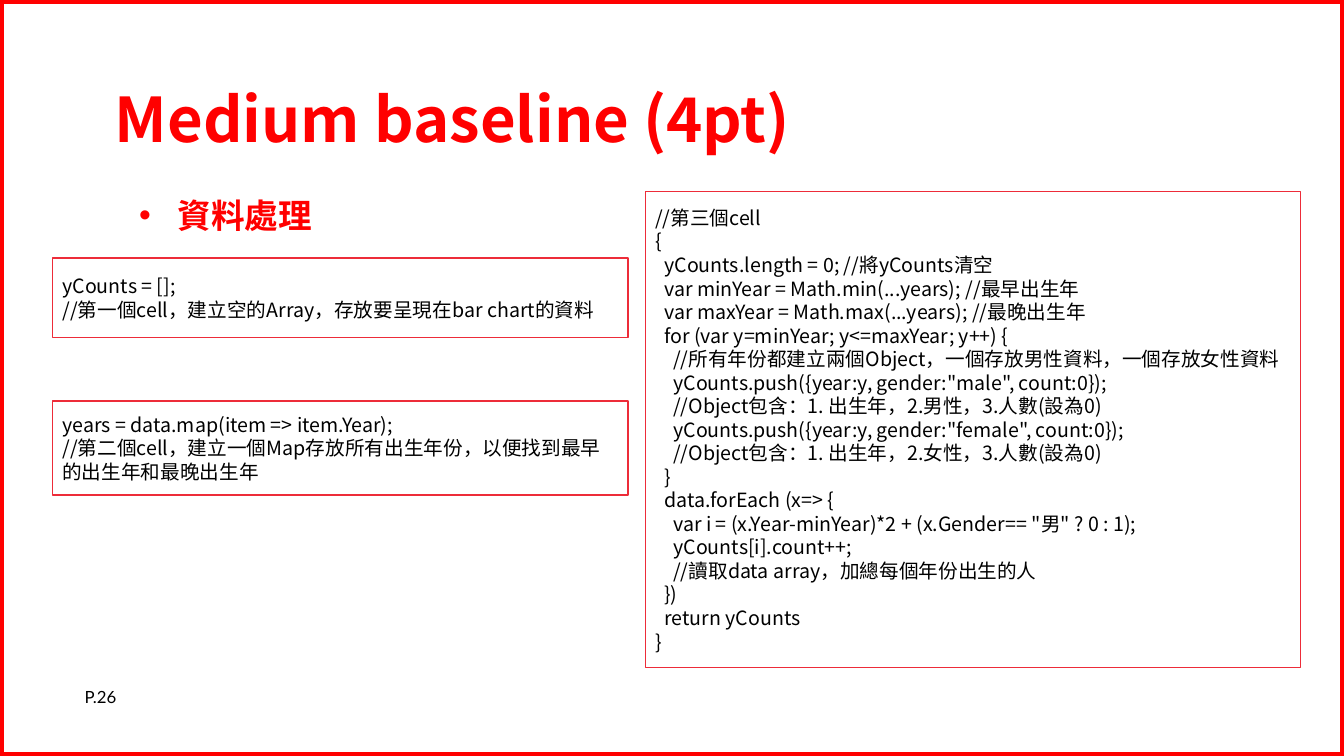
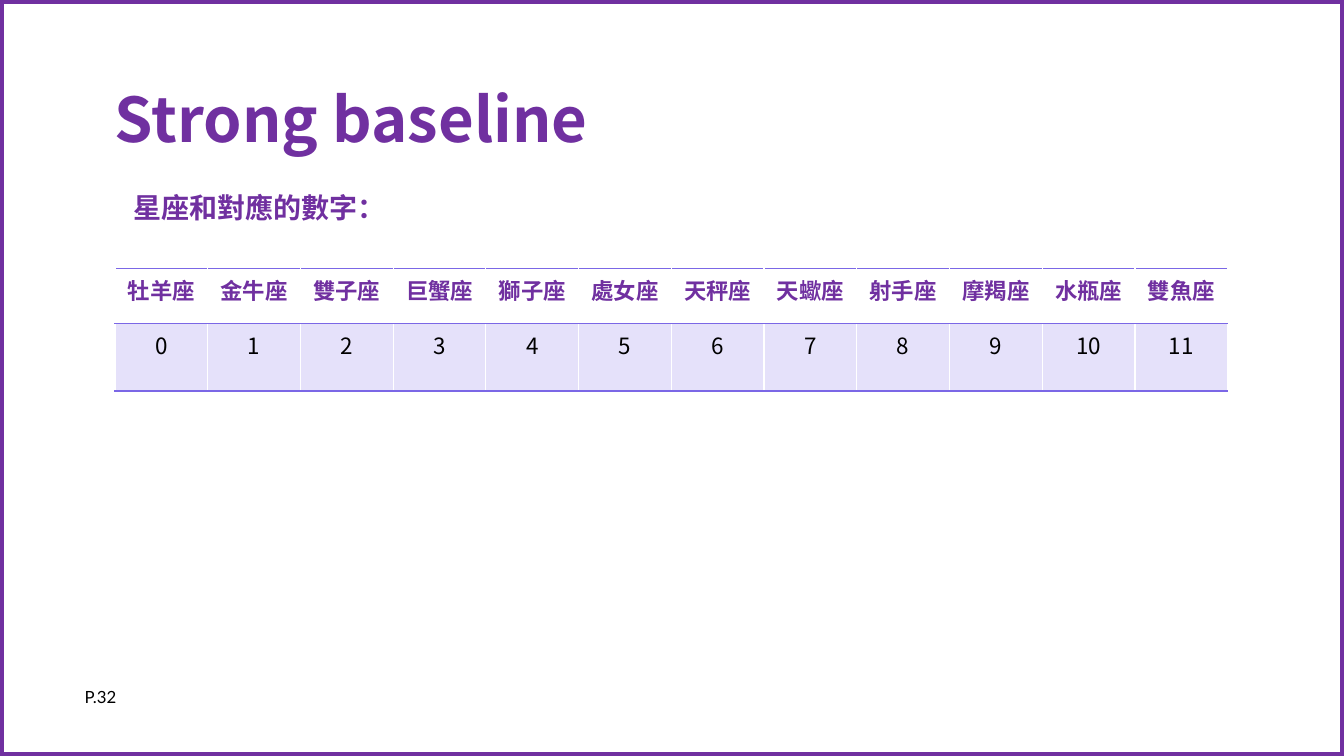
from lxml.etree import SubElement
from pptx import Presentation
from pptx.dml.color import RGBColor
from pptx.enum.shapes import MSO_SHAPE as Shape
from pptx.enum.text import MSO_ANCHOR as Anchor, MSO_AUTO_SIZE as AutoSize, PP_ALIGN as Align
from pptx.oxml.ns import qn
from pptx.util import Pt

SCALE = 9144
WIDTH, HEIGHT = 1333, 750
FONT, FOOTER_FONT = "Noto Sans CJK TC", "Lato"
BLACK, RED, PURPLE = "000000", "FF0000", "7030A0"
CODE_LINE, TABLE_LINE, TABLE_FILL = "ED2C39", "7B67E6", "E5E1FA"
CODE_INDENT = 9

ARRAY_CODE = [
    (0, "yCounts = [];"),
    (0, "//第一個cell，建立空的Array，存放要呈現在bar chart的資料"),
]
YEARS_CODE = [
    (0, "years = data.map(item => item.Year);"),
    (0, "//第二個cell，建立一個Map存放所有出生年份，以便找到最早的出生年和最晚出生年"),
]
COUNT_CODE = [
    (0, "//第三個cell"),
    (0, "{"),
    (1, "yCounts.length = 0; //將yCounts清空"),
    (1, "var minYear = Math.min(...years); //最早出生年"),
    (1, "var maxYear = Math.max(...years); //最晚出生年"),
    (1, "for (var y=minYear; y<=maxYear; y++) {"),
    (2, "//所有年份都建立兩個Object，一個存放男性資料，一個存放女性資料"),
    (2, 'yCounts.push({year:y, gender:"male", count:0});'),
    (2, "//Object包含：1. 出生年，2.男性，3.人數(設為0)"),
    (2, 'yCounts.push({year:y, gender:"female", count:0});'),
    (2, "//Object包含：1. 出生年，2.女性，3.人數(設為0)"),
    (1, "}"),
    (1, "data.forEach (x=> {"),
    (2, 'var i = (x.Year-minYear)*2 + (x.Gender== "男" ? 0 : 1);'),
    (2, "yCounts[i].count++;"),
    (2, "//讀取data array，加總每個年份出生的人"),
    (1, "})"),
    (1, "return yCounts"),
    (0, "}"),
]
SIGNS = ["牡羊座", "金牛座", "雙子座", "巨蟹座", "獅子座", "處女座",
         "天秤座", "天蠍座", "射手座", "摩羯座", "水瓶座", "雙魚座"]


def px(length):
    return length * SCALE


def color(value):
    return RGBColor.from_string(value)


def place(shape, left, top, width, height):
    shape.left, shape.top = px(left), px(top)
    shape.width, shape.height = px(width), px(height)


def format_para(para, size, ink, bold=False, font=FONT, align=Align.LEFT):
    para.alignment = align
    for span in para.runs:
        span.font.name = font
        span.font.size = Pt(size)
        span.font.bold = bold
        span.font.color.rgb = color(ink)
        SubElement(span.font._element, qn("a:ea"), typeface=font)


def indent(para, margin, first_line):
    properties = para._p.get_or_add_pPr()
    properties.set("marL", str(px(margin)))
    properties.set("indent", str(px(first_line)))


def add_rectangle(page, area, line, line_width):
    box = page.shapes.add_shape(Shape.RECTANGLE, *map(px, area))
    box.shadow.inherit = False
    box.fill.background()
    box.line.color.rgb = color(line)
    box.line.width = Pt(line_width)
    return box


def fill_placeholder(holder, area, text, size, ink, spacing):
    place(holder, *area)
    frame = holder.text_frame
    frame.text = text
    frame.auto_size = AutoSize.NONE
    para = frame.paragraphs[0]
    para.line_spacing = spacing
    format_para(para, size, ink, bold=True)
    return para


def add_page(deck, title, number, accent):
    page = deck.slides.add_slide(deck.slide_layouts[1])
    add_rectangle(page, (0, 0, WIDTH, HEIGHT), accent, 6)
    fill_placeholder(page.shapes.title, (104, 90, 957, 63), title, 44, accent, 0.9)
    page.shapes.title.text_frame.vertical_anchor = Anchor.MIDDLE
    footer = page.shapes.add_textbox(*map(px, (74, 678, 62, 26))).text_frame
    footer.word_wrap = True
    footer.vertical_anchor = Anchor.MIDDLE
    footer.text = f"P.{number}"
    format_para(footer.paragraphs[0], 12, BLACK, font=FOOTER_FONT)
    return page


def add_heading(page, left, top, text, size, accent, bullet):
    body = page.placeholders[1]
    para = fill_placeholder(body, (left, top, 1105, 447), text, size, accent, 1.3)
    para.space_before = Pt(14)
    if bullet:
        indent(para, 62, -38)
    else:
        indent(para, 25, 0)
        SubElement(para._p.get_or_add_pPr(), qn("a:buNone"))


def add_code(page, area, lines):
    frame = add_rectangle(page, area, CODE_LINE, 1).text_frame
    frame.word_wrap = True
    frame.vertical_anchor = Anchor.MIDDLE
    frame.text = "\n".join(text for _, text in lines)
    for para, (depth, _) in zip(frame.paragraphs, lines):
        format_para(para, 14, BLACK)
        indent(para, 0, depth * CODE_INDENT)


def add_border(cell, side):
    line = SubElement(cell._tc.get_or_add_tcPr(), qn(f"a:{side}"), w=str(Pt(1)))
    fill = SubElement(line, qn("a:solidFill"))
    SubElement(fill, qn("a:srgbClr"), val=TABLE_LINE)


def add_sign_table(page, left, top, column_width, row_heights):
    count = len(SIGNS)
    area = (left, top, count * column_width, sum(row_heights))
    table = page.shapes.add_table(2, count, *map(px, area)).table
    table.first_row = table.horz_banding = False
    for row, height in zip(table.rows, row_heights):
        row.height = px(height)
    for index, sign in enumerate(SIGNS):
        table.columns[index].width = px(column_width)
        for row, text in enumerate((sign, str(index))):
            cell = table.cell(row, index)
            for side in ("lnT", "lnB"):
                add_border(cell, side)
            cell.text = text
            header = row == 0
            if header:
                cell.fill.background()
            else:
                cell.fill.solid()
                cell.fill.fore_color.rgb = color(TABLE_FILL)
            format_para(cell.text_frame.paragraphs[0], 16, PURPLE if header else BLACK,
                        bold=header, align=Align.CENTER)


def main():
    deck = Presentation()
    deck.slide_width, deck.slide_height = px(WIDTH), px(HEIGHT)

    page = add_page(deck, "Medium baseline (4pt)", 26, RED)
    add_heading(page, 104, 176, "資料處理", 24, RED, bullet=True)
    add_code(page, (52, 256, 571, 79), ARRAY_CODE)
    add_code(page, (52, 398, 571, 93), YEARS_CODE)
    add_code(page, (640, 190, 650, 472), COUNT_CODE)

    page = add_page(deck, "Strong baseline", 32, PURPLE)
    add_heading(page, 97, 174, "星座和對應的數字：", 20, PURPLE, bullet=False)
    add_sign_table(page, 114, 266, 92, (55, 67))

    deck.save("out.pptx")


if __name__ == "__main__":
    main()
